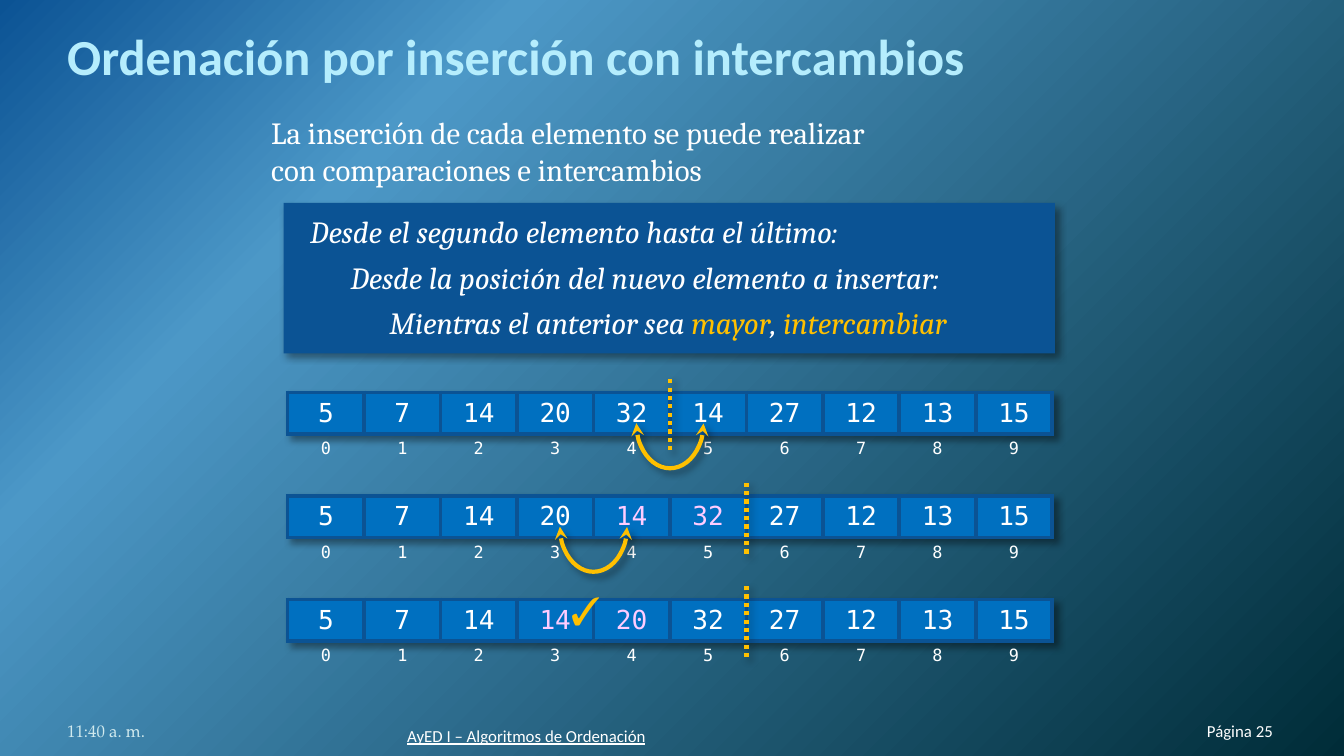
import dataclasses

import pptx
import pptx.dml.color
import pptx.enum.dml
import pptx.enum.shapes
import pptx.enum.text
import pptx.oxml
import pptx.oxml.ns
import pptx.util

ALIGN = pptx.enum.text.PP_ALIGN
ANCHOR = pptx.enum.text.MSO_ANCHOR
SHAPE = pptx.enum.shapes.MSO_SHAPE
NO_STYLE = "{2D5ABB26-0587-4C30-8999-92F81FD0307C}"


@dataclasses.dataclass(frozen=True)
class Theme:
    panel: str = "0B5394"
    cell: str = "0070C0"
    text: str = "FFFFFF"
    title: str = "B5EDFD"
    accent: str = "FFC000"
    moved: str = "FFCCFF"
    clock: str = "D1EAEE"
    gradient: tuple = ((0, "0B5394"), (25, "4C98C7"), (100, "002C38"))
    sans: str = "Calibri"
    serif: str = "Cambria"
    mono: str = "DejaVu Sans Mono"
    clock_font: str = "TeX Gyre Pagella"
    title_size: float = 27
    body_size: float = 16.5
    check_size: float = 21
    value_size: float = 14
    small_size: float = 9
    stroke: float = 2.25


def xml(body):
    tag, rest = body[1:].split(None, 1) if " " in body.split(">")[0] else body[1:].split(">", 1)
    gap = " " if " " in body.split(">")[0] else ">"
    return pptx.oxml.parse_xml(f"<{tag} {pptx.oxml.ns.nsdecls('a')}{gap}{rest}")


def rgb(color):
    return pptx.dml.color.RGBColor.from_string(color)


def write(p, text, font, size, color, bold=False, italic=False, underline=False,
          align=ALIGN.LEFT, after=0, indent=0):
    pPr = p._p.get_or_add_pPr()
    pPr.set("marL", str(pptx.util.Inches(indent)))
    pPr.set("indent", "0")
    p.alignment = align
    p.space_before = pptx.util.Pt(0)
    p.space_after = pptx.util.Pt(after)
    for i, line in enumerate(text.split("\n")):
        if i:
            p.add_line_break()
        r = p.add_run()
        r.text = line
        f = r.font
        f.name, f.size = font, pptx.util.Pt(size)
        f.bold, f.italic, f.underline = bold, italic, underline
        f.color.rgb = rgb(color)


class Deck:
    columns, rows = 100, 56.25

    def __init__(self, theme):
        self.theme = theme
        self.prs = pptx.Presentation()
        self.prs.slide_width = pptx.util.Inches(10)
        self.prs.slide_height = self.prs.slide_width * 9 // 16
        self.s = self.prs.slides.add_slide(self.prs.slide_layouts[5])

    def x(self, n):
        return round(self.prs.slide_width * n / self.columns)

    def y(self, n):
        return round(self.prs.slide_height * n / self.rows)

    def box(self, left, top, width, height):
        return self.x(left), self.y(top), self.x(width), self.y(height)

    def background(self):
        self.s.background.fill.solid()
        solid = self.s.element.xpath("p:cSld/p:bg/p:bgPr/a:solidFill")[0]
        stops = "".join(f'<a:gs pos="{at * 1000}"><a:srgbClr val="{c}"/></a:gs>'
                        for at, c in self.theme.gradient)
        solid.getparent().replace(solid, xml(
            f'<a:gradFill rotWithShape="1"><a:gsLst>{stops}</a:gsLst><a:path path="circle">'
            '<a:fillToRect r="100000" b="100000"/></a:path></a:gradFill>'))

    def shadow(self):
        return xml('<a:effectLst><a:outerShdw blurRad="50800" dist="38100" dir="2700000" '
                   'algn="tl" rotWithShape="0"><a:srgbClr val="000000"><a:alpha val="40000"/>'
                   '</a:srgbClr></a:outerShdw></a:effectLst>')

    def title(self, text, *place):
        t, sp = self.theme, self.s.shapes.title
        sp.left, sp.top, sp.width, sp.height = self.box(*place)
        tf = sp.text_frame
        self.frame(tf, ANCHOR.BOTTOM, 0)
        tf.margin_top = pptx.util.Inches(0.05)
        p = tf.paragraphs[0]
        write(p, text, t.sans, t.title_size, t.title, bold=True)
        p.runs[0].font._element.insert(0, xml(
            f'<a:ln w="9525"><a:solidFill><a:srgbClr val="{t.cell}"/></a:solidFill></a:ln>'))

    def frame(self, tf, anchor, margin=None):
        tf.word_wrap = True
        tf.auto_size = pptx.enum.text.MSO_AUTO_SIZE.NONE
        tf.vertical_anchor = anchor
        if margin is not None:
            tf.margin_left = tf.margin_right = tf.margin_top = tf.margin_bottom = margin

    def textbox(self, *place, anchor=ANCHOR.TOP, margin=None):
        tf = self.s.shapes.add_textbox(*self.box(*place)).text_frame
        self.frame(tf, anchor, margin)
        return tf

    def footer(self, text, *place, **style):
        tf = self.textbox(*place, anchor=ANCHOR.BOTTOM, margin=0)
        look = dict(font=self.theme.sans, color=self.theme.text) | style
        write(tf.paragraphs[0], text, size=self.theme.small_size, **look)

    def panel(self, *place):
        sp = self.s.shapes.add_shape(SHAPE.RECTANGLE, *self.box(*place))
        sp.fill.solid()
        sp.fill.fore_color.rgb = rgb(self.theme.panel)
        sp.line.fill.background()
        sp.element.spPr.append(self.shadow())

    def stroke(self, sp):
        sp.line.color.rgb = rgb(self.theme.accent)
        sp.line.width = pptx.util.Pt(self.theme.stroke)

    def divider(self, x, top, bottom):
        sp = self.s.shapes.add_connector(pptx.enum.shapes.MSO_CONNECTOR.STRAIGHT,
                                         self.x(x), self.y(bottom), self.x(x), self.y(top))
        self.stroke(sp)
        sp.line.dash_style = pptx.enum.dml.MSO_LINE.ROUND_DOT
        sp.element.spPr.append(self.shadow())

    def swap(self, center, top):
        sp = self.s.shapes.add_shape(SHAPE.ARC, *self.box(center - 3.35, top, 6.7, 5))
        sp.adjustments[0], sp.adjustments[1] = 162, 53.78
        sp.rotation = 270
        sp.element.spPr.xfrm.set("flipH", "1")
        sp.fill.background()
        self.stroke(sp)
        ln = sp.element.spPr.find(pptx.oxml.ns.qn("a:ln"))
        for end in ("headEnd", "tailEnd"):
            ln.append(xml(f'<a:{end} type="stealth"/>'))
        sp.element.spPr.append(self.shadow())

    def cell(self, cell, text, size, color, sides, fill=None):
        cell.margin_left = cell.margin_right = pptx.util.Inches(0.07)
        cell.margin_top = cell.margin_bottom = pptx.util.Inches(0.04)
        t, tcPr = self.theme, cell._tc.get_or_add_tcPr()
        for side in sides:
            tcPr.append(xml(f'<a:ln{side} w="{pptx.util.Pt(t.stroke)}"><a:solidFill>'
                            f'<a:srgbClr val="{t.panel}"/></a:solidFill></a:ln{side}>'))
        if fill:
            cell.fill.solid()
            cell.fill.fore_color.rgb = rgb(fill)
        else:
            cell.fill.background()
        write(cell.text_frame.paragraphs[0], text, t.mono, size, color, align=ALIGN.CENTER)

    def array(self, values, moved, left, top, column):
        t, count = self.theme, len(values)
        place = self.box(left, top, column * count, 5.4)
        tbl = self.s.shapes.add_table(2, count, *place).table
        tbl.first_row = tbl.horz_banding = False
        tblPr = tbl._tbl.tblPr
        tblPr.find(pptx.oxml.ns.qn("a:tableStyleId")).text = NO_STYLE
        tblPr.insert(0, self.shadow())
        tbl.rows[0].height, tbl.rows[1].height = self.y(3), self.y(2.4)
        for i, value in enumerate(values):
            tbl.columns[i].width = self.x(column)
            color = t.moved if i in moved else t.text
            self.cell(tbl.cell(0, i), str(value), t.value_size, color, "LRTB", t.cell)
            self.cell(tbl.cell(1, i), str(i), t.small_size, t.text, "T")

    def check(self, *place):
        t, tf = self.theme, self.textbox(*place)
        tf.word_wrap = False
        write(tf.paragraphs[0], "✓", t.serif, t.check_size, t.accent, bold=True, after=4.5)


def main():
    t = Theme()
    d = Deck(t)
    d.background()
    d.panel(21.1, 15.1, 57.4, 11.2)
    d.title("Ordenación por inserción con intercambios", 5, 2.3, 90, 4.1)

    tf = d.textbox(16.2, 8, 68.6, 41.9)
    body = dict(font=t.serif, size=t.body_size)
    write(tf.paragraphs[0], "La inserción de cada elemento se puede realizar\n"
          "con comparaciones e intercambios", color=t.text, after=13.5, indent=0.3, **body)
    steps = [
        [("Desde el segundo elemento hasta el último:", t.text)],
        [("Desde la posición del nuevo elemento a insertar:", t.text)],
        [("Mientras el anterior sea ", t.text), ("mayor", t.accent),
         (", ", t.text), ("intercambiar", t.accent)],
    ]
    for level, step in enumerate(steps, 2):
        p = tf.add_paragraph()
        for text, color in step:
            write(p, text, color=color, italic=True, after=4.5,
                  indent=round(level * 0.295, 2), **body)

    left, column, first, pitch = 21.4, 5.69, 29.2, 7.7
    rest = [27, 12, 13, 15]
    passes = [
        ([5, 7, 14, 20, 32, 14], (), 5, 5),
        ([5, 7, 14, 20, 14, 32], (4, 5), 6, 4),
        ([5, 7, 14, 14, 20, 32], (3, 4), 6, None),
    ]
    for i, (head, moved, border, swap) in enumerate(passes):
        top = first + i * pitch
        d.array(head + rest, moved, left, top, column)
        d.divider(left + border * column, top - 1.1, top + 4.3)
        if swap:
            d.swap(left + swap * column, top - 0.2)
    d.check(41.5, first + 2 * pitch - 1.5, 4.3, 4.5)

    d.footer("11:40 a. m.", 5, 52.1, 23.3, 3, font=t.clock_font, color=t.clock)
    d.footer("AyED I – Algoritmos de Ordenación", 30.3, 52.5, 37.8, 3, underline=True)
    d.footer("Página 25", 84.9, 52.1, 9.8, 3, align=ALIGN.RIGHT)
    d.prs.save("out.pptx")


if __name__ == "__main__":
    main()
